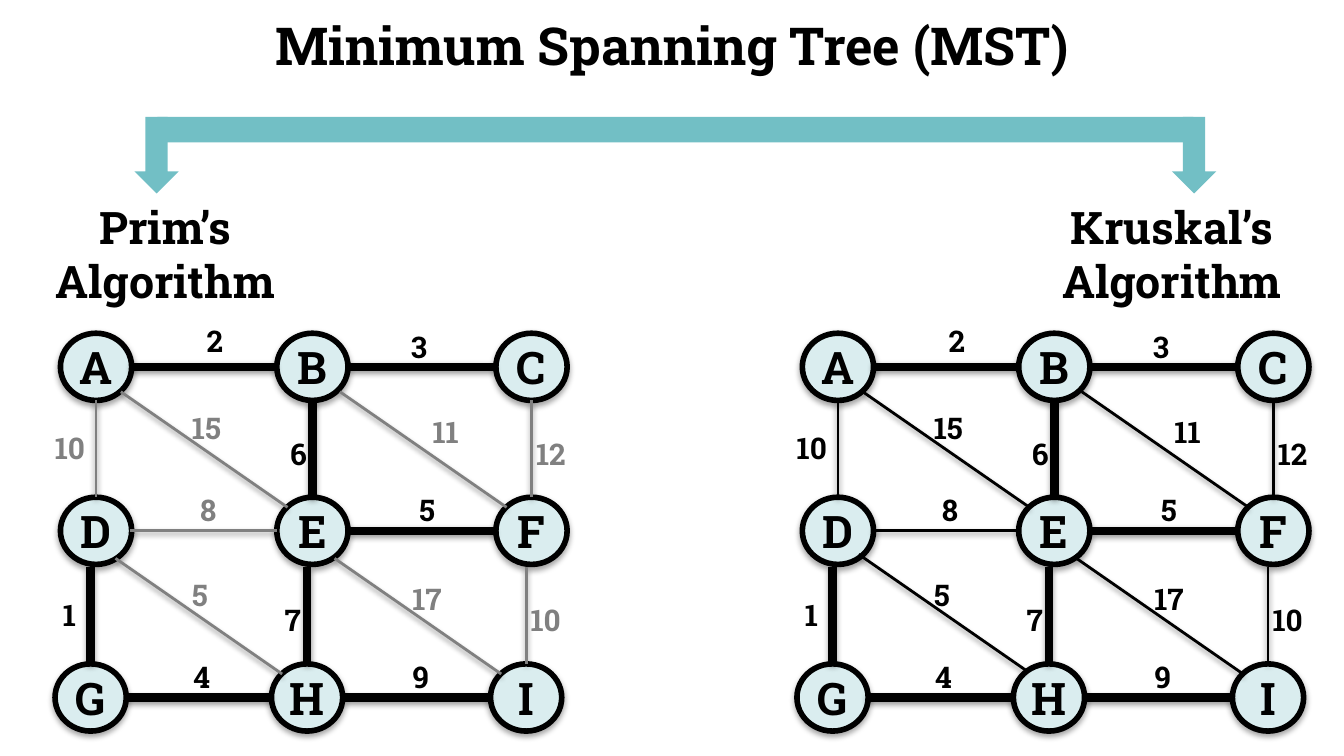
from lxml.etree import SubElement
from pptx import Presentation
from pptx.dml.color import RGBColor
from pptx.enum.shapes import MSO_CONNECTOR, MSO_SHAPE
from pptx.enum.text import MSO_ANCHOR, MSO_AUTO_SIZE, PP_ALIGN
from pptx.oxml.ns import qn
from pptx.util import Inches, Pt

COLORS = {"ink": "000000", "muted": "808080", "node": "DAEDEF", "arrow": "72BFC5"}
FONT = "Roboto Slab"

TITLE = "Minimum Spanning Tree (MST)"
HEADINGS = [("Prim’s\nAlgorithm", 0.3), ("Kruskal’s\nAlgorithm", 7.79)]
ARROW_LEFTS = [1, 8.72]

# Each graph: left offset, colour of the edges outside the tree, shifted edges
GRAPHS = [
    (0, "muted", {}),
    (5.52, "ink", {"DH": (0.01, -0.03)}),
]
ROWS = ["ABC", "DEF", "GHI"]
ROW_TOPS = [2.48, 3.7, 4.94]
ROW_SHIFTS = [0, 0, -0.04]
COLUMN_LEFTS = [0.45, 2.06, 3.69]
NODE_W, NODE_H = 0.53, 0.5

# Ends, direction, label, label left, label top
EDGES = [
    ("AB", "across", "2", 1.44, 2.35), ("BC", "across", "3", 2.96, 2.4),
    ("DE", "across", "8", 1.39, 3.61), ("EF", "across", "5", 3.02, 3.61),
    ("GH", "across", "4", 1.34, 4.85), ("HI", "across", "9", 2.97, 4.85),
    ("AD", "down", "10", 0.31, 3.15), ("BE", "down", "6", 2.06, 3.19),
    ("CF", "down", "12", 3.89, 3.19), ("DG", "down", "1", 0.37, 4.39),
    ("EH", "down", "7", 2.02, 4.43), ("FI", "down", "10", 3.85, 4.43),
    ("AE", "diagonal", "15", 1.33, 3), ("BF", "diagonal", "11", 3.12, 3.03),
    ("DH", "diagonal", "5", 1.33, 4.24), ("EI", "diagonal", "17", 2.97, 4.27),
]
TREE = {"AB", "BC", "BE", "EF", "DG", "EH", "GH", "HI"}
# Where an edge meets its second node (fractions of the node), and its run
DIRECTIONS = {
    "across": ((0, 0.5), (1.09, 0)),
    "down": ((0.5, 0), (0, 0.72)),
    "diagonal": ((0.15, 0.15), (1.24, 0.86)),
}
LABEL_WIDTHS = {"1": 0.3, "11": 0.4}


def rgb(name):
    return RGBColor.from_string(COLORS[name])


def write(tf, text, *, size, color="ink", align=PP_ALIGN.LEFT, wrap=False):
    tf.word_wrap = wrap
    for i, line in enumerate(text.split("\n")):
        p = tf.add_paragraph() if i else tf.paragraphs[0]
        p.alignment = align
        r = p.add_run()
        r.text = line
        r.font.name, r.font.size, r.font.bold = FONT, Pt(size), True
        r.font.color.rgb = rgb(color)


def add_text(s, text, left, top, width, height, **fmt):
    tf = s.shapes.add_textbox(*map(Inches, (left, top, width, height))).text_frame
    write(tf, text, **fmt)
    tf.auto_size = MSO_AUTO_SIZE.SHAPE_TO_FIT_TEXT


def add_block(s, kind, left, top, width, height, fill):
    """Add a filled preset shape with no line and no shadow."""
    sp = s.shapes.add_shape(kind, *map(Inches, (left, top, width, height)))
    sp.shadow.inherit = False
    sp.fill.solid()
    sp.fill.fore_color.rgb = rgb(fill)
    sp.line.fill.background()
    return sp


def add_shadow(shape, distance, opacity):
    """Give the shape a soft shadow straight below it."""
    sp_pr = shape._element.spPr
    effects = sp_pr.find(qn("a:effectLst"))
    if effects is None:
        effects = SubElement(sp_pr, qn("a:effectLst"))
    shadow = SubElement(effects, qn("a:outerShdw"), blurRad=str(Pt(3.1)),
                        dist=str(Pt(distance)), dir="5400000", rotWithShape="0")
    color = SubElement(shadow, qn("a:srgbClr"), val=COLORS["ink"])
    SubElement(color, qn("a:alpha"), val=str(opacity * 1000))


def add_node(s, letter, left, top):
    sp = add_block(s, MSO_SHAPE.OVAL, left, top, NODE_W, NODE_H, "node")
    sp.line.color.rgb = rgb("ink")
    sp.line.width = Pt(3)
    add_shadow(sp, 1.8, 35)
    tf = sp.text_frame
    tf.margin_left = tf.margin_right = Inches(0.04)
    tf.margin_top = tf.margin_bottom = Inches(0.05)
    tf.vertical_anchor = MSO_ANCHOR.MIDDLE
    write(tf, letter, size=24, align=PP_ALIGN.CENTER, wrap=True)


def add_edge(s, x1, y1, x2, y2, color, width):
    line = s.shapes.add_connector(MSO_CONNECTOR.STRAIGHT,
                                  *map(Inches, (x1, y1, x2, y2)))
    line.line.color.rgb = rgb(color)
    line.line.width = Pt(width)
    add_shadow(line, 1.6, 38)


def add_graph(s, offset, other_color, shifts):
    nodes = {}
    for row, top, shift in zip(ROWS, ROW_TOPS, ROW_SHIFTS):
        for letter, left in zip(row, COLUMN_LEFTS):
            nodes[letter] = (offset + left + shift, top)
            add_node(s, letter, *nodes[letter])
    for ends, direction, label, left, top in EDGES:
        color, width = ("ink", 4.5) if ends in TREE else (other_color, 1.5)
        (fx, fy), (run_x, run_y) = DIRECTIONS[direction]
        dx, dy = shifts.get(ends, (0, 0))
        x = nodes[ends[1]][0] + fx * NODE_W + dx
        y = nodes[ends[1]][1] + fy * NODE_H + dy
        add_edge(s, x - run_x, y - run_y, x, y, color, width)
        label_width = LABEL_WIDTHS.get(label, 0.24 + 0.1 * len(label))
        add_text(s, label, offset + left, top, label_width, 0.37, size=16, color=color)


def main():
    prs = Presentation()
    prs.slide_width = Inches(10)
    prs.slide_height = prs.slide_width * 9 // 16
    s = prs.slides.add_slide(prs.slide_layouts[6])
    add_text(s, TITLE, 0, 0.05, 10, 0.57, size=28, align=PP_ALIGN.CENTER, wrap=True)
    for text, left in HEADINGS:
        add_text(s, text, left, 1.44, 1.86, 0.91, size=24, align=PP_ALIGN.CENTER)
    add_block(s, MSO_SHAPE.RECTANGLE, 1.17, 0.87, 7.71, 0.19, "arrow")
    for left in ARROW_LEFTS:
        add_block(s, MSO_SHAPE.DOWN_ARROW, left, 0.87, 0.33, 0.57, "arrow")
    for graph in GRAPHS:
        add_graph(s, *graph)
    prs.save("out.pptx")


if __name__ == "__main__":
    main()
